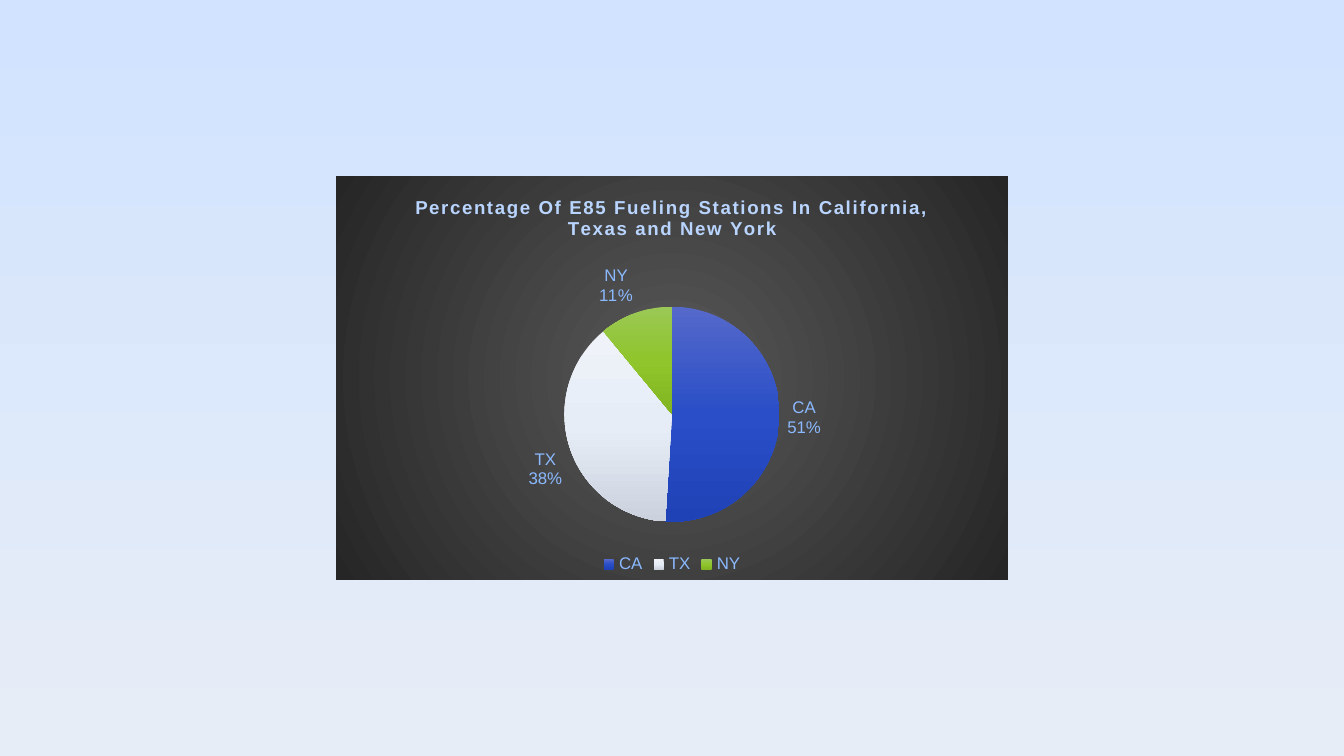
import dataclasses

import lxml.etree
import pptx
import pptx.chart.data
import pptx.dml.color
import pptx.enum.chart
import pptx.oxml.ns
import pptx.util

qn = pptx.oxml.ns.qn


@dataclasses.dataclass(frozen=True)
class Theme:
    font: str = "Arial"
    title_size: int = 10
    label_size: int = 9
    title_color: str = "B9D5FF"
    label_color: str = "8BB9FF"
    background: tuple = ("D1E3FF", "E7EDF6")
    panel: tuple = ("595959", "262626")
    slices: tuple = (
        ("5569CA", "2A4EC7", "1F42B7"),
        ("EFF3F9", "E6EDF7", "CBD2DD"),
        ("9BC856", "90C52C", "82B521"),
    )


def gradient(colors, radial=False):
    """Return a gradFill with evenly spaced stops, downward or from the centre."""
    fill = lxml.etree.Element(qn("a:gradFill"), rotWithShape="1")
    stops = lxml.etree.SubElement(fill, qn("a:gsLst"))
    for index, color in enumerate(colors):
        position = 100000 * index // (len(colors) - 1)
        stop = lxml.etree.SubElement(stops, qn("a:gs"), pos=str(position))
        lxml.etree.SubElement(stop, qn("a:srgbClr"), val=color)
    if radial:
        circle = lxml.etree.SubElement(fill, qn("a:path"))
        circle.set("path", "circle")
        sides = dict.fromkeys("ltrb", "50000")
        lxml.etree.SubElement(circle, qn("a:fillToRect"), **sides)
    else:
        lxml.etree.SubElement(fill, qn("a:lin"), ang="5400000", scaled="0")
    return fill


def fill_gradient(fill, element, colors):
    """Fill with a downward gradient; element holds the fill's XML."""
    fill.solid()
    fill.fore_color.rgb = pptx.dml.color.RGBColor.from_string(colors[0])
    solid = element.find(".//" + qn("a:solidFill"))
    solid.getparent().replace(solid, gradient(colors))


def format_font(font, name, size, color, bold=False):
    font.name = name
    font.size = pptx.util.Pt(size)
    font.bold = bold
    font.color.rgb = pptx.dml.color.RGBColor.from_string(color)


def write_text(frame, text, spacing=0, **font_format):
    """Write one run; spacing is the letter spacing in points."""
    run = frame.paragraphs[0].add_run()
    run.text = text
    format_font(run.font, **font_format)
    run.font._element.set("spc", str(int(spacing * 100)))


class SlideBuilder:
    COLUMNS, ROWS = 16, 9

    def __init__(self, presentation, theme):
        self.theme = theme
        self.column = presentation.slide_width / self.COLUMNS
        self.row = presentation.slide_height / self.ROWS
        self.slide = presentation.slides.add_slide(presentation.slide_layouts[6])

    def add_background(self):
        fill_gradient(self.slide.background.fill, self.slide.element,
                      self.theme.background)

    def add_pie(self, title, shares, left, top, width, height):
        """Place a pie of {category: percent}; lengths are columns and rows."""
        data = pptx.chart.data.CategoryChartData()
        data.categories = list(shares)
        data.add_series("Series 1", list(shares.values()))
        chart = self.slide.shapes.add_chart(
            pptx.enum.chart.XL_CHART_TYPE.PIE,
            int(left * self.column), int(top * self.row),
            int(width * self.column), int(height * self.row), data,
        ).chart
        label_format = dict(name=self.theme.font, size=self.theme.label_size,
                            color=self.theme.label_color)
        format_font(chart.font, **label_format)
        self.fill_panel(chart)
        self.fill_slices(chart.plots[0])
        self.add_labels(chart.plots[0], label_format)
        self.place_plot(chart, x=0.34, y=0.32, w=0.32, h=0.54)

        chart.has_title = True
        write_text(chart.chart_title.text_frame, title, spacing=1, bold=True,
                   name=self.theme.font, size=self.theme.title_size,
                   color=self.theme.title_color)
        chart.chart_title.include_in_layout = False
        chart.has_legend = True
        chart.legend.position = pptx.enum.chart.XL_LEGEND_POSITION.BOTTOM
        chart.legend.include_in_layout = False
        format_font(chart.legend.font, **label_format)

    def fill_panel(self, chart):
        properties = lxml.etree.Element(qn("c:spPr"))
        properties.append(gradient(self.theme.panel, radial=True))
        line = lxml.etree.SubElement(properties, qn("a:ln"))
        lxml.etree.SubElement(line, qn("a:noFill"))
        chart._chartSpace.find(qn("c:chart")).addnext(properties)

    def fill_slices(self, plot):
        plot.vary_by_categories = True
        series = plot.series[0]
        for index, colors in enumerate(self.theme.slices):
            style = series.points[index].format
            style.line.fill.background()
            point = series._element.findall(qn("c:dPt"))[index]
            fill_gradient(style.fill, point, colors)

    def add_labels(self, plot, label_format):
        plot.has_data_labels = True
        labels = plot.data_labels
        labels.show_value = False
        labels.show_category_name = True
        labels.show_percentage = True
        labels.number_format = "0%"
        labels.number_format_is_linked = False
        labels.position = pptx.enum.chart.XL_LABEL_POSITION.OUTSIDE_END
        format_font(labels.font, **label_format)
        separator = lxml.etree.Element(qn("c:separator"))
        separator.text = "\n"
        labels._element.find(qn("c:showBubbleSize")).addnext(separator)

    def place_plot(self, chart, **box):
        """Fix the pie's box, given as shares of the chart's size."""
        area = chart._chartSpace.find(".//" + qn("c:plotArea"))
        for old in area.findall(qn("c:layout")):
            area.remove(old)
        layout = lxml.etree.Element(qn("c:layout"))
        manual = lxml.etree.SubElement(layout, qn("c:manualLayout"))
        settings = dict(layoutTarget="inner", xMode="edge", yMode="edge", **box)
        for name, value in settings.items():
            lxml.etree.SubElement(manual, qn("c:" + name), val=str(value))
        area.insert(0, layout)


def main():
    presentation = pptx.Presentation()
    presentation.slide_width = pptx.util.Inches(10)
    presentation.slide_height = presentation.slide_width * 9 // 16
    builder = SlideBuilder(presentation, Theme())
    builder.add_background()
    builder.add_pie(
        "Percentage Of E85 Fueling Stations In California, Texas and New York",
        {"CA": 51, "TX": 38, "NY": 11},
        left=4, top=2.1, width=8, height=4.8,
    )
    presentation.save("out.pptx")


if __name__ == "__main__":
    main()
